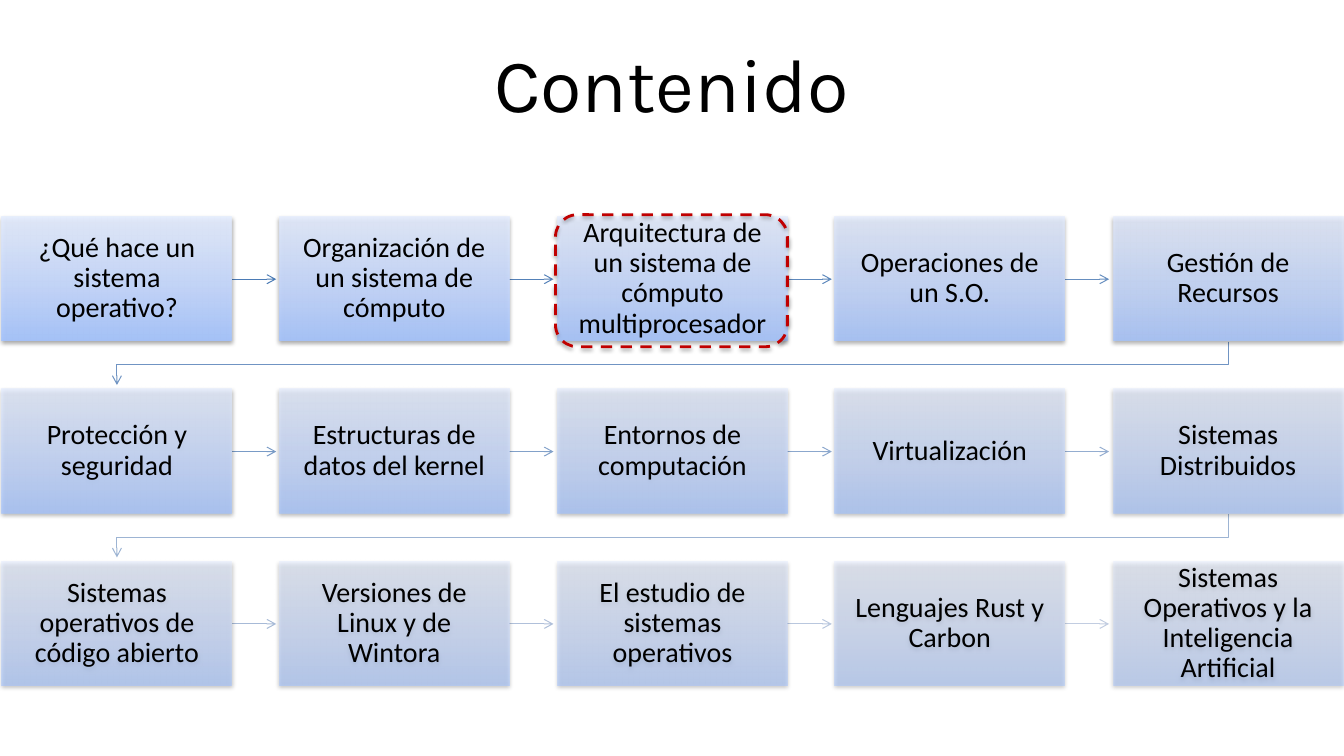
from dataclasses import dataclass

from lxml import etree
from pptx import Presentation
from pptx import util as u
from pptx.dml.color import RGBColor
from pptx.enum import dml, shapes, text
from pptx.oxml import parse_xml
from pptx.oxml.ns import nsdecls, qn

PX = 9144  # 100 px to the inch


@dataclass(frozen=True)
class Theme:
    title_font: str = "Karla"
    body_font: str = "Calibri"
    title_size: int = 54
    body_size: int = 20
    ink: str = "000000"
    highlight: str = "C00000"
    gradient: tuple = ((0, "A4C4FF"), (35, "BFD4FF"), (100, "E6EEFF"))
    first_arrow: tuple = (75, 123, 181)
    last_arrow: tuple = (194, 205, 225)
    first_opacity: int = 90
    last_opacity: int = 50


THEME = Theme()

TOPICS = (
    "¿Qué hace un sistema operativo?",
    "Organización de un sistema de cómputo",
    "Arquitectura de un sistema de cómputo multiprocesador",
    "Operaciones de un S.O.",
    "Gestión de Recursos",
    "Protección y seguridad",
    "Estructuras de datos del kernel",
    "Entornos de computación",
    "Virtualización",
    "Sistemas Distribuidos",
    "Sistemas operativos de código abierto",
    "Versiones de Linux y de Wintora",
    "El estudio de sistemas operativos",
    "Lenguajes Rust y Carbon",
    "Sistemas Operativos y la Inteligencia Artificial",
)
COLUMNS = 5
BOX_WIDTH, BOX_HEIGHT = 228, 123
COLUMN_PITCH, ROW_PITCH = 275.5, 171
GRID_LEFT, GRID_TOP = 2, 215


def px(*lengths):
    return [u.Emu(round(length * PX)) for length in lengths]


def box_corner(index):
    row, column = divmod(index, COLUMNS)
    return GRID_LEFT + int(column * COLUMN_PITCH), GRID_TOP + row * ROW_PITCH


def add_run(paragraph, words, font, size):
    run = paragraph.add_run()
    run.text = words
    run.font.name = font
    run.font.size = u.Pt(size)
    run.font.color.rgb = RGBColor.from_string(THEME.ink)


def set_title(slide, words):
    title = slide.shapes.title
    title.left, title.top, title.width, title.height = px(91, 9, 1150, 145)
    frame = title.text_frame
    frame.auto_size = text.MSO_AUTO_SIZE.NONE
    frame.vertical_anchor = text.MSO_ANCHOR.MIDDLE
    paragraph = frame.paragraphs[0]
    paragraph.alignment = text.PP_ALIGN.CENTER
    add_run(paragraph, words, THEME.title_font, THEME.title_size)


def set_gradient(shape, opacity):
    stops = "".join(
        f'<a:gs pos="{position * 1000}"><a:srgbClr val="{color}">'
        f'<a:alpha val="{round(opacity * 1000)}"/></a:srgbClr></a:gs>'
        for position, color in THEME.gradient
    )
    gradient = parse_xml(
        f'<a:gradFill {nsdecls("a")} rotWithShape="1"><a:gsLst>{stops}</a:gsLst>'
        '<a:lin ang="16200000" scaled="0"/></a:gradFill>'
    )
    shape.fill.background()
    properties = shape.element.spPr
    properties.replace(properties.find(qn("a:noFill")), gradient)


def set_shadow(shape, distance, opacity):
    shape.shadow.inherit = False
    effects = shape.element.spPr.find(qn("a:effectLst"))
    effects.append(parse_xml(
        f'<a:outerShdw {nsdecls("a")} blurRad="{u.Pt(3.1)}" dist="{u.Pt(distance)}" '
        f'dir="5400000" rotWithShape="0"><a:srgbClr val="{THEME.ink}">'
        f'<a:alpha val="{opacity * 1000}"/></a:srgbClr></a:outerShdw>'
    ))


def add_topic(slide, index, words):
    shape = slide.shapes.add_shape(
        shapes.MSO_SHAPE.RECTANGLE, *px(*box_corner(index), BOX_WIDTH, BOX_HEIGHT)
    )
    fade = index / (len(TOPICS) - 1)
    set_gradient(shape, THEME.first_opacity + fade * (THEME.last_opacity - THEME.first_opacity))
    shape.line.fill.background()
    set_shadow(shape, 1.6, 38)
    frame = shape.text_frame
    frame.word_wrap = True
    frame.vertical_anchor = text.MSO_ANCHOR.MIDDLE
    frame.margin_left, frame.margin_top, frame.margin_right, frame.margin_bottom = px(16, 16, 16, 16)
    paragraph = frame.paragraphs[0]
    paragraph.alignment = text.PP_ALIGN.CENTER
    paragraph.line_spacing = 0.9
    add_run(paragraph, words, THEME.body_font, THEME.body_size)


def style_arrow(arrow, index):
    fade = index / (len(TOPICS) - 2)
    arrow.line.color.rgb = RGBColor(*(
        round(first + fade * (last - first))
        for first, last in zip(THEME.first_arrow, THEME.last_arrow)
    ))
    arrow.line.width = u.Pt(0.75)
    properties = arrow.element.spPr
    etree.SubElement(properties.find(qn("a:ln")), qn("a:tailEnd"), type="arrow")
    etree.SubElement(properties, qn("a:effectLst"))


def add_arrow(slide, index):
    """Link a topic to the next one, wrapping to the next row after the last column."""
    left, top = box_corner(index)
    if (index + 1) % COLUMNS:
        start, middle = left + BOX_WIDTH, top + 62
        arrow = slide.shapes.add_connector(
            shapes.MSO_CONNECTOR.STRAIGHT, *px(start, middle, start + 44, middle)
        )
    else:
        start = left + BOX_WIDTH // 2
        end = GRID_LEFT + BOX_WIDTH // 2
        bottom = top + BOX_HEIGHT + 1
        builder = slide.shapes.build_freeform(start, bottom, scale=PX)
        builder.add_line_segments(
            [(start, bottom + 23), (end, bottom + 23), (end, bottom + 43)], close=False
        )
        arrow = builder.convert_to_shape()
        arrow.fill.background()
    style_arrow(arrow, index)


def add_highlight(slide):
    shape = slide.shapes.add_shape(
        shapes.MSO_SHAPE.ROUNDED_RECTANGLE, *px(551, 213, 230, 131)
    )
    shape.fill.background()
    shape.line.color.rgb = RGBColor.from_string(THEME.highlight)
    shape.line.width = u.Pt(2)
    shape.line.dash_style = dml.MSO_LINE.DASH
    set_shadow(shape, 1.8, 35)


def main():
    presentation = Presentation()
    presentation.slide_width, presentation.slide_height = px(1333, 750)
    title_only = presentation.slide_layouts[5]
    slide = presentation.slides.add_slide(title_only)
    for placeholder in list(slide.placeholders):
        if placeholder.placeholder_format.idx != 0:
            placeholder.element.getparent().remove(placeholder.element)
    set_title(slide, "Contenido")
    for index, words in enumerate(TOPICS):
        if index < len(TOPICS) - 1:
            add_arrow(slide, index)
        add_topic(slide, index, words)
    add_highlight(slide)
    presentation.save("out.pptx")


if __name__ == "__main__":
    main()
